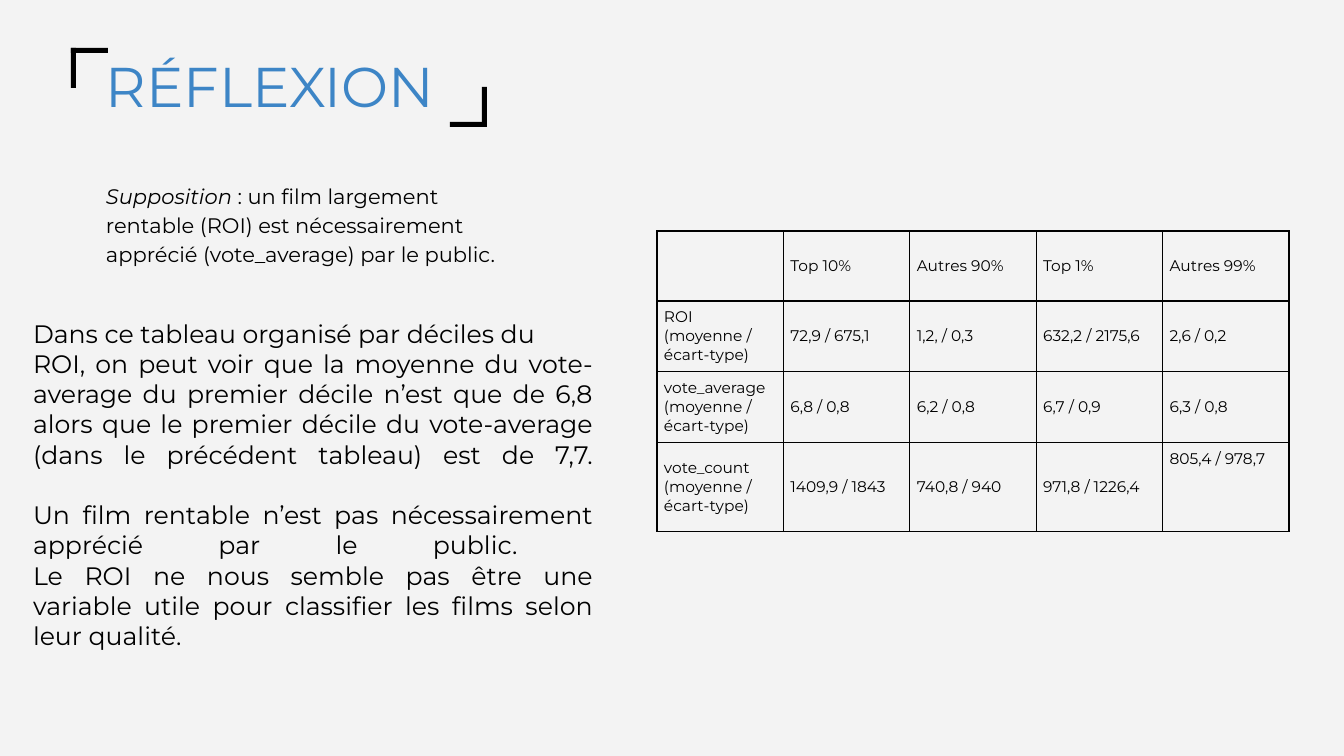
from dataclasses import dataclass

from lxml import etree
from pptx import Presentation
from pptx.dml.color import RGBColor
from pptx.enum.shapes import MSO_SHAPE
from pptx.enum.text import MSO_ANCHOR, MSO_AUTO_SIZE, PP_ALIGN
from pptx.oxml.ns import qn
from pptx.util import Emu, Pt

RECTANGLE = MSO_SHAPE.RECTANGLE
TOP, MIDDLE = MSO_ANCHOR.TOP, MSO_ANCHOR.MIDDLE
LEFT, JUSTIFY = PP_ALIGN.LEFT, PP_ALIGN.JUSTIFY
NO_AUTOFIT = MSO_AUTO_SIZE.NONE
TITLE_ONLY = 5


@dataclass(frozen=True)
class Theme:
    font: str = "Montserrat"
    background: str = "F3F3F3"
    ink: str = "000000"
    accent: str = "3D85C6"
    title: int = 40
    body: int = 18
    claim: int = 15
    cell: int = 11


THEME = Theme()

HYPOTHESIS = [
    ("Supposition", True),
    (" : un film largement rentable (ROI) est nécessairement apprécié "
     "(vote_average) par le public.", False),
]
ANALYSIS = [
    "Dans ce tableau organisé par déciles du",
    "ROI, on peut voir que la moyenne du vote-average du premier décile "
    "n’est que de 6,8 alors que le premier décile du vote-average (dans le "
    "précédent tableau) est de 7,7.\n\n"
    "Un film rentable n’est pas nécessairement apprécié par le public. \n"
    "Le ROI ne nous semble pas être une variable utile pour classifier les "
    "films selon leur qualité.",
]
STATISTIC = "\n(moyenne / écart-type)"
TABLE_ROWS = [
    ["", "Top 10%", "Autres 90%", "Top 1%", "Autres 99%"],
    ["ROI" + STATISTIC, "72,9 / 675,1", "1,2, / 0,3", "632,2 / 2175,6", "2,6 / 0,2"],
    ["vote_average" + STATISTIC, "6,8 / 0,8", "6,2 / 0,8", "6,7 / 0,9", "6,3 / 0,8"],
    ["vote_count" + STATISTIC, "1409,9 / 1843", "740,8 / 940", "971,8 / 1226,4",
     "805,4 / 978,7"],
]
ROW_HEIGHTS = [70, 70, 71, 89]


def px(n):
    return Emu(round(n * 914400 / 100.8))


def place(box):
    return [px(n) for n in box]


def add_run(p, text, size, color=THEME.ink, italic=False):
    r = p.add_run()
    r.text = text
    r.font.name = THEME.font
    r.font.size = Pt(size)
    r.font.italic = italic
    r.font.color.rgb = RGBColor.from_string(color)


def set_frame(tf, inset_y, anchor=TOP):
    tf.word_wrap = True
    tf.auto_size = NO_AUTOFIT
    tf.vertical_anchor = anchor
    tf.margin_left = tf.margin_right = px(10)
    tf.margin_top = tf.margin_bottom = px(inset_y)


def add_bracketed_title(s, box, text):
    """Title between a top-left and a bottom-right corner bracket."""
    x, y, w, h = box
    arm_w, arm_h, thick = 37, 40, 5
    title = s.shapes.title
    title.left, title.top, title.width, title.height = place((x + 25, y - 1, 434, 72))
    set_frame(title.text_frame, 5)
    p = title.text_frame.paragraphs[0]
    p.alignment = LEFT
    p.line_spacing = 1.0
    add_run(p, text, THEME.title, THEME.accent)

    bars = [
        (x, y, thick, arm_h),
        (x, y, arm_w, thick),
        (x + w - thick, y + h - arm_h, thick, arm_h),
        (x + w - arm_w, y + h - thick, arm_w, thick),
    ]
    for bar_box in bars:
        bar = s.shapes.add_shape(RECTANGLE, *place(bar_box))
        bar.shadow.inherit = False
        bar.fill.solid()
        bar.fill.fore_color.rgb = RGBColor.from_string(THEME.ink)
        bar.line.fill.background()


def add_hypothesis(s, box):
    tf = s.shapes.add_textbox(*place(box)).text_frame
    set_frame(tf, 5, MIDDLE)
    p = tf.paragraphs[0]
    p.line_spacing = 1.15
    for text, italic in HYPOTHESIS:
        add_run(p, text, THEME.claim, italic=italic)


def add_analysis(s, box):
    """Justified text; line breaks inside a paragraph keep its lines stretched."""
    tf = s.shapes.add_textbox(*place(box)).text_frame
    set_frame(tf, 10)
    for i, paragraph in enumerate(ANALYSIS):
        p = tf.add_paragraph() if i else tf.paragraphs[0]
        p.alignment = JUSTIFY
        for j, line in enumerate(paragraph.split("\n")):
            if j:
                p.add_line_break()
            if line:
                add_run(p, line, THEME.body)


def set_borders(cell):
    tc_pr = cell._tc.get_or_add_tcPr()
    for i, side in enumerate(("a:lnL", "a:lnR", "a:lnT", "a:lnB")):
        ln = etree.Element(qn(side), w=str(Pt(1)))
        fill = etree.SubElement(ln, qn("a:solidFill"))
        etree.SubElement(fill, qn("a:srgbClr"), val=THEME.ink)
        tc_pr.insert(i, ln)


def fill_cell(cell, text, anchor):
    cell.fill.background()
    set_borders(cell)
    cell.vertical_anchor = anchor
    cell.margin_left = cell.margin_right = px(7)
    cell.margin_top = cell.margin_bottom = px(7)
    tf = cell.text_frame
    for i, line in enumerate(text.split("\n")):
        p = tf.add_paragraph() if i else tf.paragraphs[0]
        if line:
            add_run(p, line, THEME.cell)


def add_decile_table(s, box):
    rows, cols = len(TABLE_ROWS), len(TABLE_ROWS[0])
    table = s.shapes.add_table(rows, cols, *place(box)).table
    table.first_row = table.horz_banding = False
    for column in table.columns:
        column.width = px(box[2] / cols)
    for i, (texts, height) in enumerate(zip(TABLE_ROWS, ROW_HEIGHTS)):
        table.rows[i].height = px(height)
        for j, text in enumerate(texts):
            is_last = (i, j) == (rows - 1, cols - 1)
            fill_cell(table.cell(i, j), text, TOP if is_last else MIDDLE)


def main():
    prs = Presentation()
    prs.slide_width, prs.slide_height = px(1344), px(756)
    s = prs.slides.add_slide(prs.slide_layouts[TITLE_ONLY])
    s.background.fill.solid()
    s.background.fill.fore_color.rgb = RGBColor.from_string(THEME.background)
    add_decile_table(s, (657, 231, 632, sum(ROW_HEIGHTS)))
    add_hypothesis(s, (96, 170, 442, 107))
    add_bracketed_title(s, (71, 48, 416, 79), "RÉFLEXION")
    add_analysis(s, (23, 308, 580, 364))
    prs.save("out.pptx")


if __name__ == "__main__":
    main()
